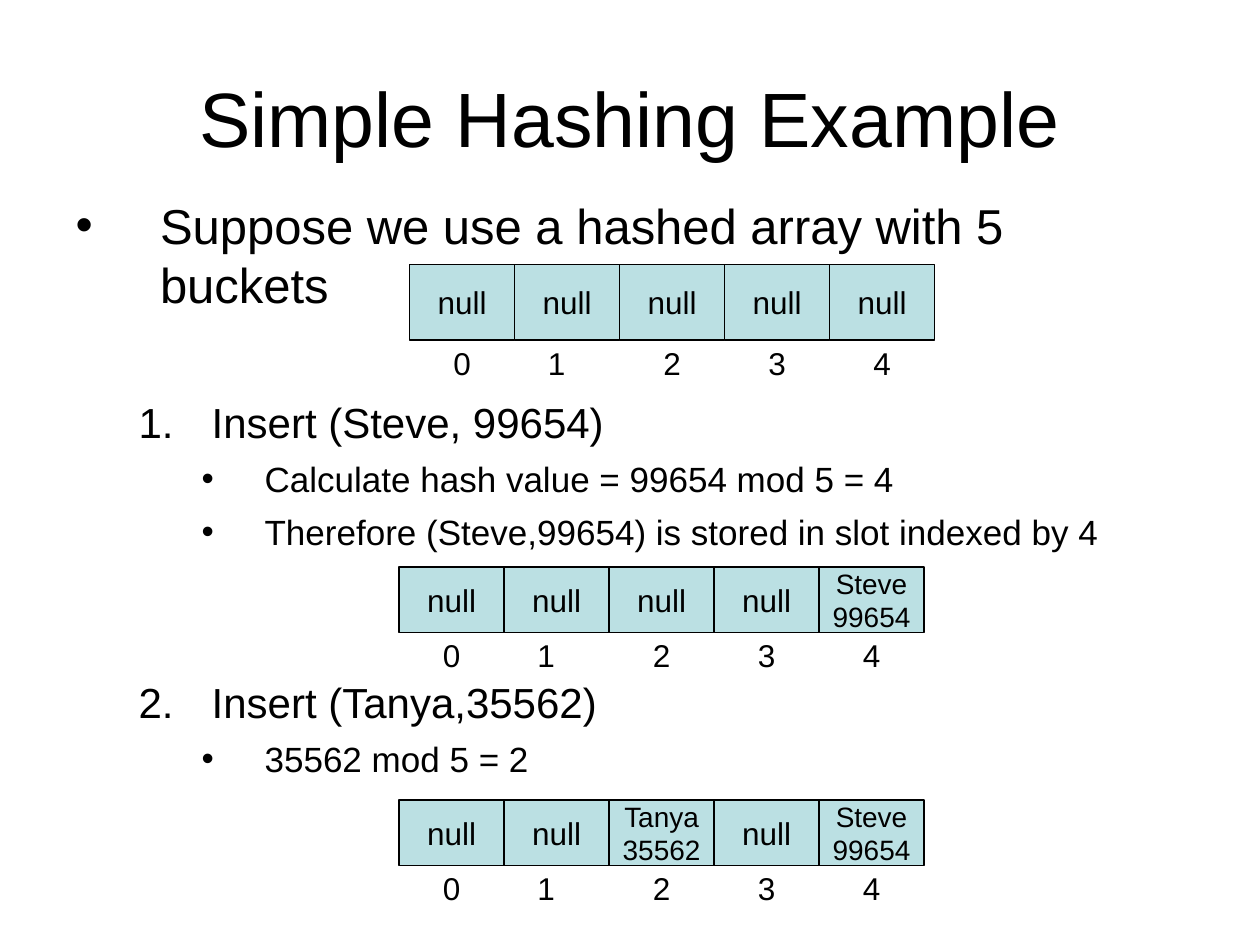
from lxml import etree
from pptx import Presentation, util as u
from pptx.dml.color import RGBColor
from pptx.enum import shapes, text as t
from pptx.oxml import ns

deck = Presentation()
deck.slide_width, deck.slide_height = u.Inches(10), u.Inches(7.5)
slide = deck.slides.add_slide(deck.slide_layouts[1])
COLUMN = deck.slide_width / 12  # one bucket is one column wide
ROW = deck.slide_height / 75    # a tenth of an inch


def color(hex_code):
    return RGBColor.from_string(hex_code)


def write(frame, text, size=18, align=t.PP_ALIGN.LEFT, level=0, before=0, wrap=False,
          anchor=t.MSO_ANCHOR.TOP, autosize=t.MSO_AUTO_SIZE.NONE):
    """Put text in the frame's empty first paragraph, or in a new one."""
    frame.word_wrap, frame.vertical_anchor, frame.auto_size = wrap, anchor, autosize
    last = frame.paragraphs[-1]
    line = frame.add_paragraph() if last.text else last
    line.text, line.level, line.alignment = text, level, align
    line.space_before = u.Pt(before)
    for run in line.runs:
        run.font.name, run.font.size = "Arial", u.Pt(size)
        run.font.color.rgb = color("000000")
    return line


# Title
title = slide.shapes.title
title.left, title.top = int(0.6 * COLUMN), int(3 * ROW)
title.width, title.height = int(10.8 * COLUMN), int(12.5 * ROW)
write(title.text_frame, "Simple Hashing Example", size=44, align=t.PP_ALIGN.CENTER,
      wrap=True, anchor=t.MSO_ANCHOR.MIDDLE)

# Steps: text, level, space before (room for each bucket array), step number
steps = slide.placeholders[1]
steps.left, steps.top = int(0.6 * COLUMN), int(15 * ROW)
steps.width, steps.height = int(10.8 * COLUMN), int(49.5 * ROW)
LEVELS = [(28, 0.67, 0.67), (24, 1.08, 0.58), (20, 1.5, 0.5)]  # size, margin, hanging
for step, level, before, number in [
    ("Suppose we use a hashed array with 5 buckets", 0, 7, None),
    ("Insert (Steve, 99654)", 1, 48, 1),
    ("Calculate hash value = 99654 mod 5 = 4", 2, 6, None),
    ("Therefore (Steve,99654) is stored in slot indexed by 4", 2, 6, None),
    ("Insert (Tanya,35562)", 1, 71, 2),
    ("35562 mod 5 = 2", 2, 6, None),
]:
    size, margin, hanging = LEVELS[level]
    line = write(steps.text_frame, step, size=size, level=level, before=before, wrap=True)
    props = line._p.get_or_add_pPr()
    props.set("marL", str(u.Inches(margin)))
    props.set("indent", str(-u.Inches(hanging)))
    if number:
        etree.SubElement(props, ns.qn("a:buAutoNum"), type="arabicPeriod", startAt=str(number))
    else:
        etree.SubElement(props, ns.qn("a:buChar"), char="•")

# Bucket arrays: left column, top row, rows high, contents
STEVE, TANYA = "Steve\v99654", "Tanya 35562"
INDEX_OFFSETS = [0.3, 1.2, 2.3, 3.3, 4.3]
for left, top, height, buckets in [
    (3.9, 21, 6, ["null"] * 5),
    (3.8, 45, 5.2, ["null"] * 4 + [STEVE]),
    (3.8, 63.5, 5.2, ["null", "null", TANYA, "null", STEVE]),
]:
    for index, content in enumerate(buckets):
        filled = content != "null"
        bucket = slide.shapes.add_shape(
            shapes.MSO_SHAPE.RECTANGLE, int((left + index) * COLUMN), int(top * ROW),
            int(COLUMN), int(height * ROW))
        bucket.shadow.inherit = False
        bucket.fill.solid()
        bucket.fill.fore_color.rgb = color("BBE0E3")
        bucket.line.color.rgb = color("000000")
        bucket.line.width = u.Pt(0.75)
        write(bucket.text_frame, content, size=16 if filled else 18, wrap=filled,
              align=t.PP_ALIGN.CENTER, anchor=t.MSO_ANCHOR.MIDDLE)

    # Index under each bucket
    for index, offset in enumerate(INDEX_OFFSETS):
        label = slide.shapes.add_textbox(
            int((left + offset) * COLUMN), int((top + height - 0.2) * ROW),
            int(0.4 * COLUMN), int(4 * ROW))
        write(label.text_frame, str(index), autosize=t.MSO_AUTO_SIZE.SHAPE_TO_FIT_TEXT)

deck.save("out.pptx")
